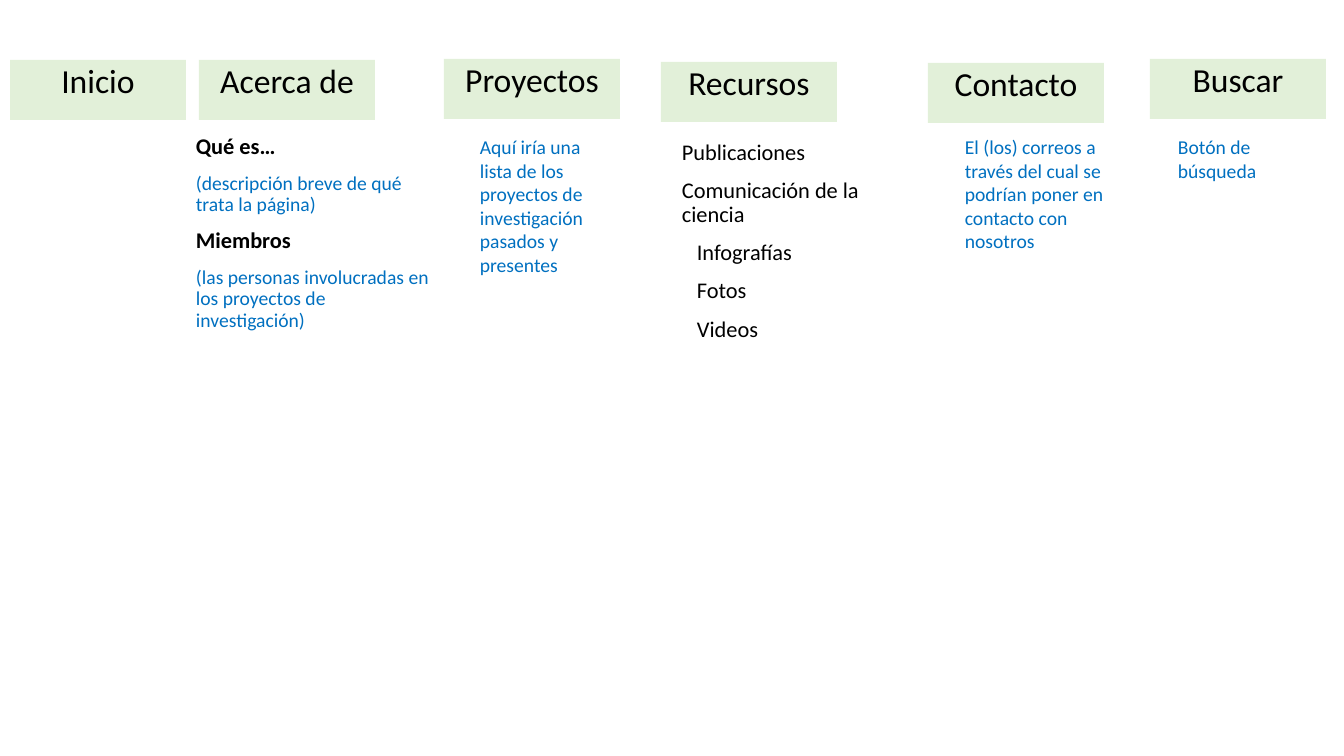
from pptx import Presentation
from pptx.dml.color import RGBColor
from pptx.enum.shapes import MSO_SHAPE
from pptx.enum.text import MSO_ANCHOR, MSO_AUTO_SIZE, PP_ALIGN
from pptx.util import Emu, Pt

SCALE = 914400 / 100.8
FONT = "Calibri"
COLORS = {"tab": "E2F0D9", "text": "000000", "note": "0070C0"}
TABS = [
    ("Inicio", 10, 60),
    ("Acerca de", 199, 60),
    ("Proyectos", 444, 59),
    ("Recursos", 661, 62),
    ("Contacto", 928, 63),
    ("Buscar", 1150, 59),
]
NOTES = [
    ("Aquí iría una lista de los proyectos de investigación pasados y presentes",
     470, 150, 152),
    ("El (los) correos a través del cual se podrían poner en contacto con nosotros",
     955, 175, 129),
    ("Botón de búsqueda", 1168, 165, 57),
]
ABOUT = [
    ("Qué es…", "(descripción breve de qué trata la página)"),
    ("Miembros", "(las personas involucradas en los proyectos de investigación)"),
]
ITEMS = [
    ("Publicaciones", 0),
    ("Comunicación de la ciencia", 0),
    ("Infografías", 15),
    ("Fotos", 15),
    ("Videos", 15),
]


def px(num):
    return Emu(round(num * SCALE))


def color(name):
    return RGBColor.from_string(COLORS[name])


def add_run(para, text, size, tint="text", bold=False):
    run = para.add_run()
    run.text = text
    run.font.name = FONT
    run.font.size = Pt(size)
    run.font.bold = bold
    run.font.color.rgb = color(tint)


def space(para):
    para.line_spacing = 0.9
    para.space_before = Pt(10)


def add_tab(slide, text, left, top):
    shape = slide.shapes.add_shape(
        MSO_SHAPE.RECTANGLE, px(left), px(top), px(176), px(60))
    shape.shadow.inherit = False
    shape.fill.solid()
    shape.fill.fore_color.rgb = color("tab")
    shape.line.fill.background()
    frame = shape.text_frame
    frame.word_wrap = True
    frame.vertical_anchor = MSO_ANCHOR.TOP
    para = frame.paragraphs[0]
    para.alignment = PP_ALIGN.CENTER
    space(para)
    add_run(para, text, 24)


def add_box(slide, left, top, width, height):
    box = slide.shapes.add_textbox(px(left), px(top), px(width), px(height))
    box.text_frame.word_wrap = True
    return box.text_frame


def add_note(slide, text, left, width, height):
    frame = add_box(slide, left, 130, width, height)
    frame.auto_size = MSO_AUTO_SIZE.SHAPE_TO_FIT_TEXT
    add_run(frame.paragraphs[0], text, 14, "note")


def add_list(slide, left, top, height, rows):
    frame = add_box(slide, left, top, 256, height)
    for i, (text, size, tint, bold, indent) in enumerate(rows):
        para = frame.add_paragraph() if i else frame.paragraphs[0]
        space(para)
        if indent:
            para._p.get_or_add_pPr().set("marL", str(px(indent)))
        add_run(para, text, size, tint, bold)


def main():
    deck = Presentation()
    deck.slide_width, deck.slide_height = px(1344), px(756)
    slide = deck.slides.add_slide(deck.slide_layouts[6])
    for tab in TABS:
        add_tab(slide, *tab)
    for note in NOTES:
        add_note(slide, *note)
    about = []
    for head, note in ABOUT:
        about.append((head, 16, "text", True, 0))
        about.append((note, 14, "note", False, 0))
    add_list(slide, 186, 130, 257, about)
    items = [(text, 16, "text", False, indent) for text, indent in ITEMS]
    add_list(slide, 672, 136, 223, items)
    deck.save("out.pptx")


main()
